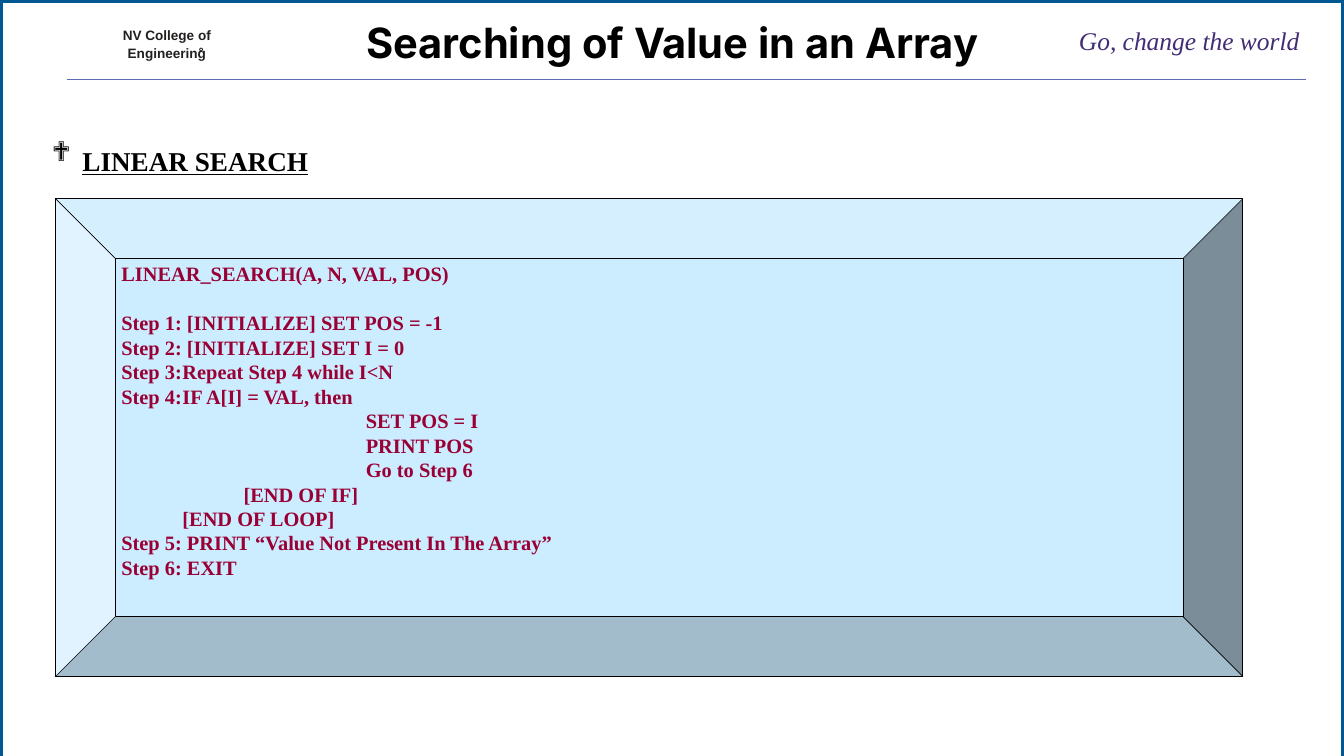
from dataclasses import dataclass

from lxml import etree
from pptx import Presentation
from pptx.dml.color import RGBColor
from pptx.enum.shapes import MSO_CONNECTOR, MSO_SHAPE
from pptx.enum.text import MSO_ANCHOR, PP_ALIGN
from pptx.oxml.ns import qn
from pptx.shapes.base import BaseShape
from pptx.slide import Slide
from pptx.text.text import Font, TextFrame, _Paragraph
from pptx.util import Inches, Pt

LEFT, CENTER = PP_ALIGN.LEFT, PP_ALIGN.CENTER
TOP = MSO_ANCHOR.TOP
BEVEL, DONUT = MSO_SHAPE.BEVEL, MSO_SHAPE.DONUT
STRAIGHT = MSO_CONNECTOR.STRAIGHT

BLACK = RGBColor(0x00, 0x00, 0x00)
BLUE = RGBColor(0x00, 0x57, 0x92)
RULE = RGBColor(0x5E, 0x6C, 0xB3)
INK = RGBColor(0x22, 0x1F, 0x1F)
PURPLE = RGBColor(0x42, 0x2C, 0x75)
SKY = RGBColor(0xCC, 0xEC, 0xFF)
WINE = RGBColor(0x99, 0x00, 0x33)

SERIF = "Times New Roman"
WIDTH, HEIGHT = 1583 / 72, 890 / 72


@dataclass
class Style:
    face: str
    size: float
    color: RGBColor
    bold: bool = False
    italic: bool = False
    align: PP_ALIGN = LEFT


@dataclass
class Label:
    text: str
    left: float
    top: float
    width: float
    height: float
    style: Style
    pitch: float = 1.0


@dataclass
class Step:
    text: str
    indent: int = 0
    before: float = 0
    stop: int = 1


TITLE = Label("Searching of Value in an Array", 3.91, 0.27, 14.17, 2.49,
              Style("Inter", 49, BLACK, bold=True, align=CENTER))
LABELS = [
    Label("NV College of Engineering", 1.99, 0.41, 1.47, 0.61,
          Style("Arial", 16, INK, bold=True, align=CENTER), 1.09),
    Label("Go, change the world", 17.64, 0.4, 3.63, 0.53,
          Style(SERIF, 30, PURPLE, italic=True)),
]
HEAD = Style(SERIF, 32, BLACK, bold=True)
CODE = Style(SERIF, 24, WINE, bold=True)
STEPS = [
    Step("LINEAR_SEARCH(A, N, VAL, POS)"),
    Step("Step 1: [INITIALIZE] SET POS = -1", before=28.8),
    Step("Step 2: [INITIALIZE] SET I = 0"),
    Step("Step 3:\tRepeat Step 4 while I<N"),
    Step("Step 4:\tIF A[I] = VAL, then", stop=3),
    Step("SET POS = I", 4),
    Step("PRINT POS", 4),
    Step("Go to Step 6", 4),
    Step("[END OF IF]", 2),
    Step("[END OF LOOP]", 1),
    Step("Step 5: PRINT “Value Not Present In The Array”"),
    Step("Step 6: EXIT"),
]


def set_font(font: Font, style: Style) -> None:
    font.name, font.size = style.face, Pt(style.size)
    font.bold, font.italic = style.bold, style.italic
    font.color.rgb = style.color


def set_indent(para: _Paragraph, left: float, first: float = 0) -> None:
    props = para._p.get_or_add_pPr()
    props.set("marL", str(Inches(left)))
    props.set("indent", str(Inches(first)))


def add_stop(para: _Paragraph, place: float) -> None:
    """Set one left tab stop, in inches from the text edge."""
    stops = etree.SubElement(para._p.get_or_add_pPr(), qn("a:tabLst"))
    etree.SubElement(stops, qn("a:tab"), pos=str(Inches(place)), algn="l")


def fill_label(frame: TextFrame, label: Label) -> None:
    frame.margin_left = frame.margin_right = frame.margin_bottom = 0
    frame.margin_top = Inches(0.01)
    frame.word_wrap = label.style.align == CENTER
    frame.vertical_anchor = TOP
    frame.text = label.text
    para = frame.paragraphs[0]
    para.alignment, para.space_before = label.style.align, Pt(1)
    para.line_spacing = label.pitch
    set_indent(para, 0.01)
    set_font(para.runs[0].font, label.style)


def place(shape: BaseShape, label: Label) -> None:
    shape.left, shape.top = Inches(label.left), Inches(label.top)
    shape.width, shape.height = Inches(label.width), Inches(label.height)


def add_frame(slide: Slide) -> None:
    """Draw the border, open at the bottom, and the rule under the title."""
    pen = slide.shapes.build_freeform(Inches(WIDTH), Inches(HEIGHT))
    corners = [(WIDTH, 0), (0, 0), (0, HEIGHT)]
    pen.add_line_segments([(Inches(x), Inches(y)) for x, y in corners], close=False)
    border = pen.convert_to_shape()
    border.shadow.inherit = False
    border.fill.background()
    border.line.color.rgb, border.line.width = BLUE, Pt(6)

    rule = slide.shapes.add_connector(
        STRAIGHT, Inches(1.1), Inches(1.3), Inches(21.36), Inches(1.3))
    rule.line.color.rgb, rule.line.width = RULE, Pt(1.23)
    etree.SubElement(rule._element.spPr, qn("a:effectLst"))

    mark = slide.shapes.add_shape(
        DONUT, Inches(3.26), Inches(0.78), Inches(0.06), Inches(0.06))
    mark.shadow.inherit = False
    mark.fill.solid()
    mark.fill.fore_color.rgb = INK
    mark.line.fill.background()


def add_head(slide: Slide) -> None:
    box = slide.shapes.add_textbox(
        Inches(0.75), Inches(1.69), Inches(20.75), Inches(1.17))
    frame = box.text_frame
    frame.word_wrap = True
    frame.text = "LINEAR SEARCH"
    para = frame.paragraphs[0]
    para.line_spacing = 1.5
    set_indent(para, 0.5, -0.5)
    props = para._p.get_or_add_pPr()
    etree.SubElement(props, qn("a:buFont"), typeface="Wingdings", charset="2")
    etree.SubElement(props, qn("a:buChar"), char="❖")
    set_font(para.runs[0].font, HEAD)
    para.runs[0].font.underline = True
    tail = para.add_run()
    tail.text = " "
    set_font(tail.font, Style(SERIF, 48, BLACK))


def add_panel(slide: Slide) -> None:
    panel = slide.shapes.add_shape(
        BEVEL, Inches(0.91), Inches(3.25), Inches(19.42), Inches(7.81))
    panel.shadow.inherit = False
    panel.fill.solid()
    panel.fill.fore_color.rgb = SKY
    panel.line.color.rgb, panel.line.width = BLACK, Pt(0.75)
    frame = panel.text_frame
    frame.word_wrap, frame.vertical_anchor = True, TOP
    frame.text = "\n".join(step.text for step in STEPS)
    for para, step in zip(frame.paragraphs, STEPS):
        para.alignment, para.space_before = LEFT, Pt(step.before)
        set_indent(para, step.indent)
        if "\t" in step.text:
            add_stop(para, step.stop)
        set_font(para.runs[0].font, CODE)


def main() -> None:
    deck = Presentation()
    deck.slide_width, deck.slide_height = Inches(WIDTH), Inches(HEIGHT)
    slide = deck.slides.add_slide(deck.slide_layouts[5])
    add_frame(slide)
    title = slide.shapes.title
    place(title, TITLE)
    fill_label(title.text_frame, TITLE)
    for label in LABELS:
        box = slide.shapes.add_textbox(0, 0, 0, 0)
        place(box, label)
        fill_label(box.text_frame, label)
    add_head(slide)
    add_panel(slide)
    deck.save("out.pptx")


if __name__ == "__main__":
    main()
